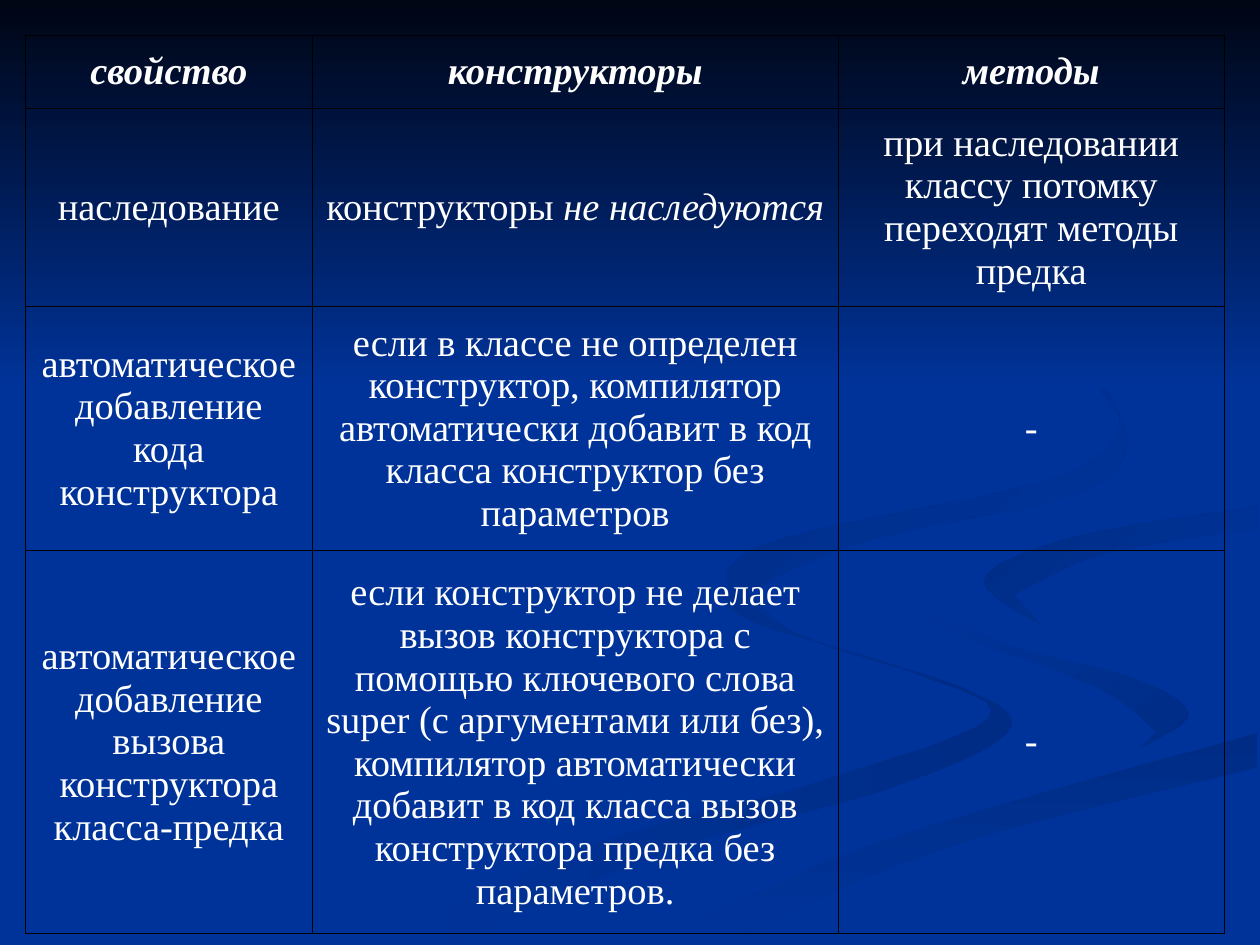
from dataclasses import dataclass

import pptx
import pptx.dml.color
import pptx.dml.fill
import pptx.enum.shapes
import pptx.enum.text
import pptx.util
from lxml import etree
from pptx.oxml.ns import qn
from pptx.util import Inches, Pt

RGBColor = pptx.dml.color.RGBColor
Point = tuple[int, int]
Edge = tuple[Point, ...]

BLUE = RGBColor(0x00, 0x33, 0x99)
NAVY = RGBColor(0x00, 0x2C, 0x86)
NIGHT = RGBColor(0x00, 0x05, 0x14)
WHITE = RGBColor(0xFF, 0xFF, 0xFF)
BLACK = RGBColor(0x00, 0x00, 0x00)

FONT = "Times New Roman"
UNIT = Inches(0.01)
STEPS = 6


@dataclass(frozen=True)
class Ribbon:
    start: RGBColor
    end: RGBColor
    angle: int
    edges: tuple[Edge, ...]


@dataclass(frozen=True)
class Span:
    text: str
    bold: bool = False
    italic: bool = False


RIBBONS = (
    Ribbon(BLUE, NAVY, 0, (
        ((574, 464), (642, 507), (767, 547), (800, 581), (699, 628), (532, 674), (361, 749)),
        ((300, 749), (458, 674), (652, 620), (785, 570), (728, 535), (602, 495), (570, 472)))),
    Ribbon(BLUE, NAVY, 45, (
        ((724, 464), (792, 509), (905, 540), (943, 570), (894, 605)),
        ((918, 581), (868, 544), (746, 500)))),
    Ribbon(NAVY, BLUE, 90, (
        ((503, 749), (696, 669), (998, 581)),
        ((998, 609), (752, 672), (571, 749)))),
    Ribbon(BLUE, BLUE, 0, (
        ((999, 387), (830, 415), (725, 464), (793, 509), (905, 540), (943, 570),
         (843, 618), (619, 684), (477, 749)),
        ((519, 747), (696, 669), (999, 581)),
        ((999, 538), (866, 509), (781, 463), (850, 427), (999, 402)))),
    Ribbon(NAVY, BLUE, 45, (
        ((998, 402), (849, 427), (781, 460), (826, 496)),
        ((805, 472), (878, 439), (998, 420)))),
    Ribbon(NAVY, BLUE, 45, (
        ((762, 233), (846, 279), (889, 335), (842, 378), (704, 409), (605, 433),
         (577, 462), (622, 500)),
        ((593, 470), (683, 430), (855, 391), (894, 344), (843, 275)))),
)

COLUMN_WIDTHS = (2.28, 4.17, 3.07)
ROW_HEIGHTS = (0.58, 1.57, 1.94, 3.04)
ROWS = (
    tuple((Span(name, True, True),) for name in ("свойство", "конструкторы", "методы")),
    (
        (Span("наследование"),),
        (Span("конструкторы "), Span("не наследуются", italic=True)),
        (Span("при наследовании классу потомку переходят методы предка"),),
    ),
    (
        (Span("автоматическое добавление кода конструктора"),),
        (Span("если в классе не определен конструктор, компилятор автоматически "
              "добавит в код класса конструктор без параметров"),),
        (Span("-"),),
    ),
    (
        (Span("автоматическое добавление вызова конструктора класса-предка"),),
        (Span("если конструктор не делает вызов конструктора с помощью ключевого "
              "слова super (с аргументами или без), компилятор автоматически "
              "добавит в код класса вызов конструктора предка без параметров."),),
        (Span("-"),),
    ),
)


def blend(a: int, b: int, c: int, d: int, t: float) -> float:
    return b + t * (c - a + t * (2 * a - 5 * b + 4 * c - d + t * (3 * (b - c) + d - a))) / 2


def smooth_edge(edge: Edge) -> list[tuple[float, float]]:
    knots = (edge[0], *edge, edge[-1])
    curve = [
        tuple(blend(*axis, step / STEPS) for axis in zip(*knots[index:index + 4]))
        for index in range(len(edge) - 1)
        for step in range(STEPS)
    ]
    return [*curve, edge[-1]]


def paint(shape: pptx.shapes.autoshape.Shape, start: RGBColor, end: RGBColor, angle: int) -> None:
    shape.shadow.inherit = False
    shape.line.fill.background()
    if start == end:
        shape.fill.solid()
        shape.fill.fore_color.rgb = start
        return
    shape.fill.gradient()
    shape.fill.gradient_angle = -angle % 360
    for stop, color in zip(shape.fill.gradient_stops, (start, end)):
        stop.color.rgb = color


def draw_ribbon(page: pptx.slide.Slide, ribbon: Ribbon) -> None:
    first, *rest = [point for edge in ribbon.edges for point in smooth_edge(edge)]
    builder = page.shapes.build_freeform(*first, scale=UNIT)
    builder.add_line_segments(rest, close=True)
    paint(builder.convert_to_shape(), ribbon.start, ribbon.end, ribbon.angle)


def draw_sky(page: pptx.slide.Slide) -> None:
    sky = page.shapes.add_shape(
        pptx.enum.shapes.MSO_SHAPE.RECTANGLE, 0, 0, Inches(10), Inches(3.08))
    paint(sky, NIGHT, BLUE, 90)


def add_borders(cell: pptx.table._Cell) -> None:
    properties = cell._tc.get_or_add_tcPr()
    for index, side in enumerate(("a:lnL", "a:lnR", "a:lnT", "a:lnB")):
        line = etree.Element(qn(side), w=str(Pt(0.45)))
        fill = etree.SubElement(line, qn("a:solidFill"))
        etree.SubElement(fill, qn("a:srgbClr"), val=str(BLACK))
        properties.insert(index, line)


def fill_cell(cell: pptx.table._Cell, spans: tuple[Span, ...]) -> None:
    cell.fill.background()
    cell.vertical_anchor = pptx.enum.text.MSO_ANCHOR.MIDDLE
    add_borders(cell)
    para = cell.text_frame.paragraphs[0]
    para.alignment = pptx.enum.text.PP_ALIGN.CENTER
    for span in spans:
        run = para.add_run()
        run.text = span.text
        run.font.name = FONT
        run.font.size = Pt(22)
        run.font.bold = span.bold
        run.font.italic = span.italic
        run.font.color.rgb = WHITE


def draw_table(page: pptx.slide.Slide) -> None:
    table = page.shapes.add_table(
        len(ROWS), len(COLUMN_WIDTHS), Inches(0.2), Inches(0.28),
        Inches(sum(COLUMN_WIDTHS)), Inches(sum(ROW_HEIGHTS))).table
    table.first_row = False
    table.horz_banding = False
    for column, width in zip(table.columns, COLUMN_WIDTHS):
        column.width = Inches(width)
    for row, height, contents in zip(table.rows, ROW_HEIGHTS, ROWS):
        row.height = Inches(height)
        for cell, spans in zip(row.cells, contents):
            fill_cell(cell, spans)


def main() -> None:
    deck = pptx.Presentation()
    deck.slide_width = Inches(10)
    deck.slide_height = Inches(7.5)
    page = deck.slides.add_slide(deck.slide_layouts[6])
    page.background.fill.solid()
    page.background.fill.fore_color.rgb = BLUE
    for ribbon in RIBBONS:
        draw_ribbon(page, ribbon)
    draw_sky(page)
    draw_table(page)
    deck.save("out.pptx")


if __name__ == "__main__":
    main()
